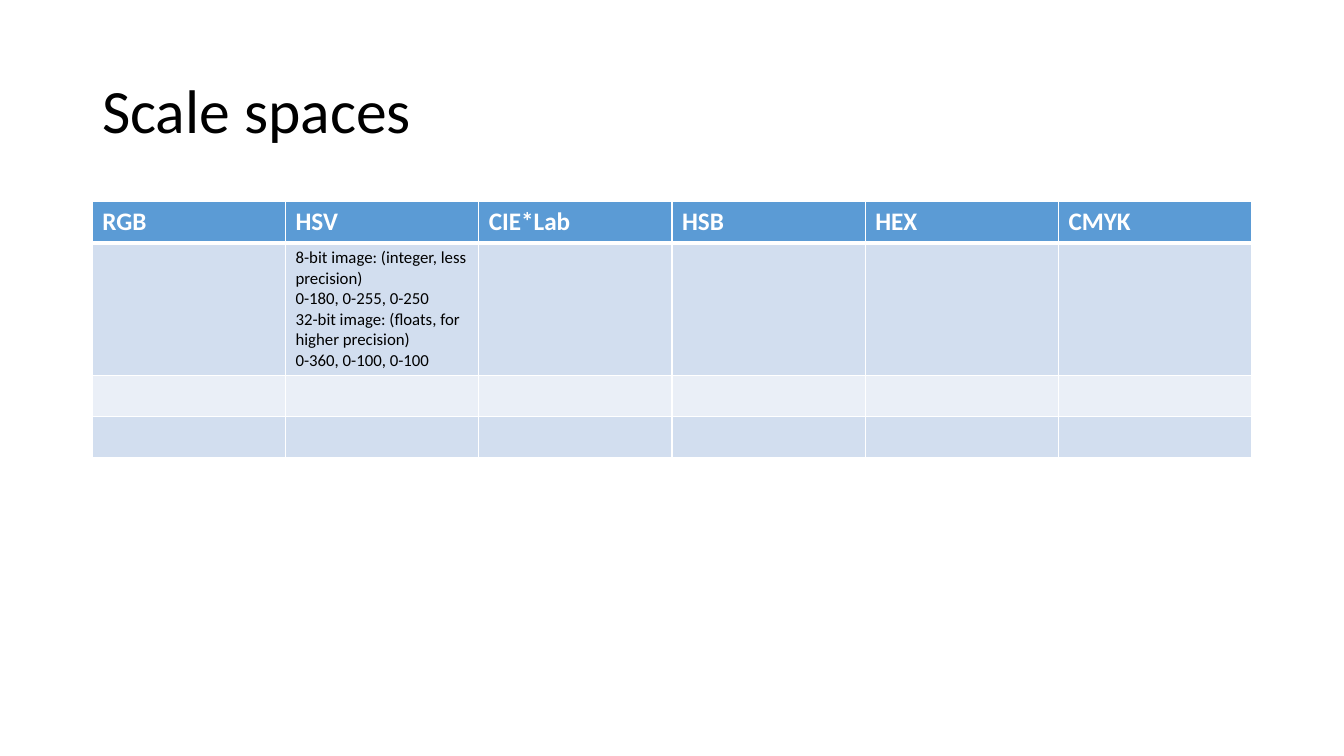
from lxml.etree import SubElement as Sub
from pptx import Presentation
from pptx.dml.color import RGBColor
from pptx.enum.text import MSO_ANCHOR as Anchor
from pptx.oxml.ns import qn
from pptx.util import Inches, Pt

WIDTH, HEIGHT = 13.33, 7.5
COLUMN, ROW = 11.5 / 6, 0.41
MARGIN = (WIDTH - 6 * COLUMN) / 2


def color(hex_value):
    return RGBColor.from_string(hex_value)


class Slide:
    font = "Calibri"
    ink, paper, header = "000000", "FFFFFF", "5B9BD5"
    bands = ("D2DEEF", "EAEFF7")

    def __init__(self, deck):
        self.slide = deck.slides.add_slide(deck.slide_layouts[6])

    def set_text(self, frame, lines, size, ink, bold=False):
        frame.text = "\n".join(lines)
        for paragraph in frame.paragraphs:
            font = paragraph.font
            font.name, font.size, font.bold = self.font, Pt(size), bold
            font.color.rgb = color(ink)

    def title(self, text, top, height):
        """Place a title across all columns; top and height are shares of the slide."""
        box = self.slide.shapes.add_textbox(
            Inches(MARGIN), Inches(top * HEIGHT),
            Inches(6 * COLUMN), Inches(height * HEIGHT))
        frame = box.text_frame
        frame.word_wrap = True
        frame.vertical_anchor = Anchor.MIDDLE
        self.set_text(frame, [text], 44, self.ink)
        frame.paragraphs[0].line_spacing = 0.9

    def borders(self, cell, top, bottom):
        properties = cell._tc.get_or_add_tcPr()
        sides = {"L": 1, "R": 1, "T": top, "B": bottom}
        for position, (side, width) in enumerate(sides.items()):
            line = Sub(properties, qn(f"a:ln{side}"), w=str(Pt(width)))
            fill = Sub(line, qn("a:solidFill"))
            Sub(fill, qn("a:srgbClr"), val=self.paper)
            properties.insert(position, line)

    def table(self, headings, notes, row_heights, top):
        """Fill a banded table; notes maps (row, column) to lines of text."""
        table = self.slide.shapes.add_table(
            len(row_heights), len(headings), Inches(MARGIN), Inches(top * HEIGHT),
            Inches(len(headings) * COLUMN), Inches(sum(row_heights) * ROW)).table
        for column in table.columns:
            column.width = Inches(COLUMN)
        for r, height in enumerate(row_heights):
            table.rows[r].height = Inches(height * ROW)
            for c, heading in enumerate(headings):
                cell = table.cell(r, c)
                cell.fill.solid()
                cell.fill.fore_color.rgb = color(self.bands[(r - 1) % 2] if r else self.header)
                self.borders(cell, 3 if r == 1 else 1, 1 if r else 3)
                if r == 0:
                    self.set_text(cell.text_frame, [heading], 18, self.paper, True)
                elif (r, c) in notes:
                    self.set_text(cell.text_frame, notes[r, c], 12, self.ink)


deck = Presentation()
deck.slide_width, deck.slide_height = Inches(WIDTH), Inches(HEIGHT)
scale_spaces = Slide(deck)

# Title
scale_spaces.title("Scale spaces", top=0.05, height=0.2)

# Color spaces and their value ranges
color_spaces = ["RGB", "HSV", "CIE*Lab", "HSB", "HEX", "CMYK"]
hsv_ranges = [
    "8-bit image: (integer, less precision)",
    "0-180, 0-255, 0-250",
    "32-bit image: (floats, for higher precision)",
    "0-360, 0-100, 0-100",
]
ranges = {(1, color_spaces.index("HSV")): hsv_ranges}
scale_spaces.table(color_spaces, ranges, row_heights=[1, 3.2, 1, 1], top=4 / 15)

deck.save("out.pptx")
